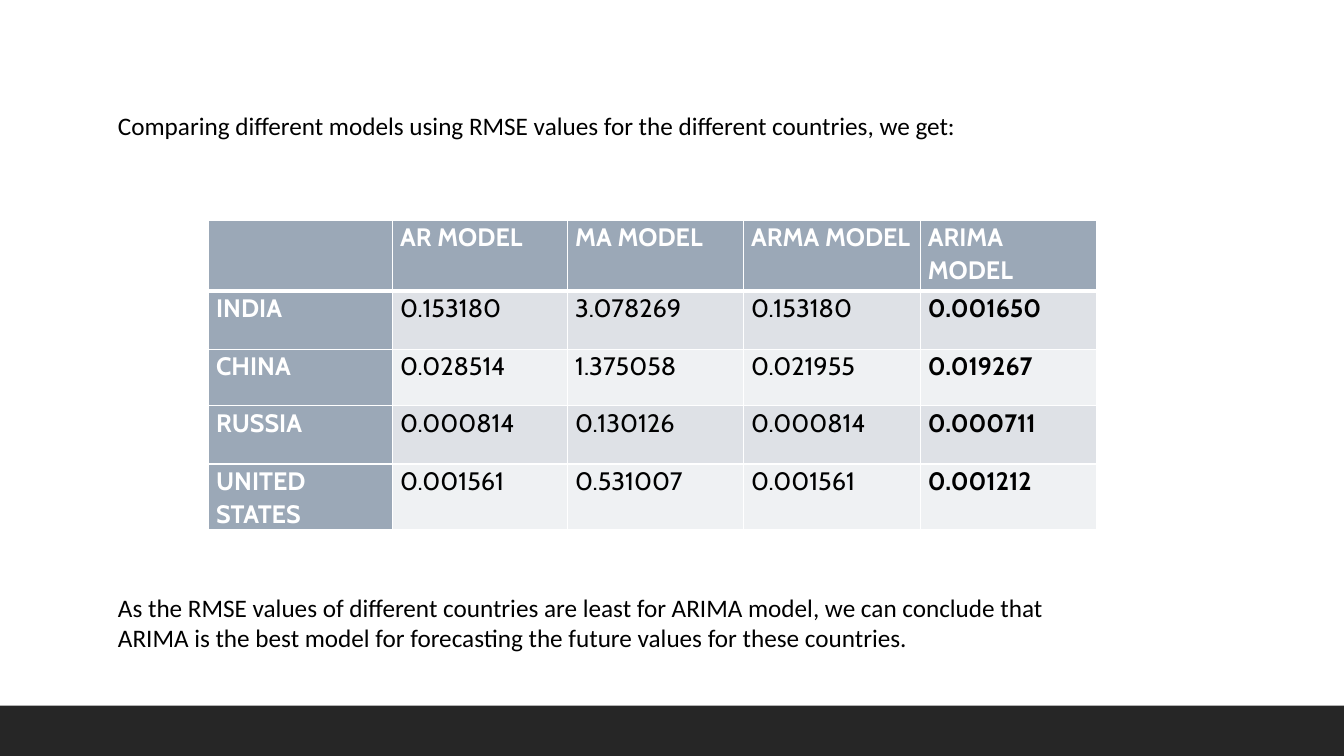
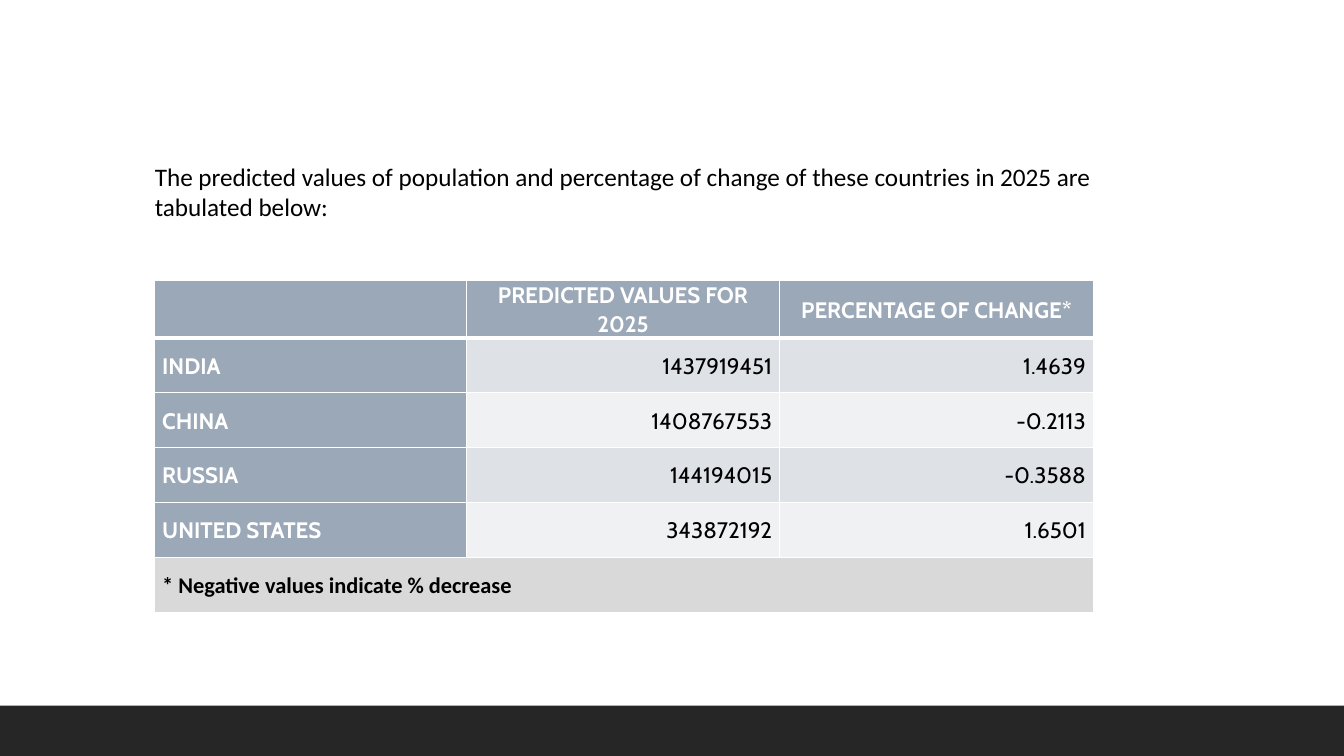
from lxml import etree
from pptx import Presentation
from pptx.dml.color import RGBColor
from pptx.enum import shapes, text
from pptx.oxml import ns
from pptx.util import Pt

WHITE = RGBColor(0xFF, 0xFF, 0xFF)
BLACK = RGBColor(0x00, 0x00, 0x00)
BAND = RGBColor(0x26, 0x26, 0x26)
HEADING = RGBColor(0x9B, 0xA8, 0xB7)
STRIPES = (RGBColor(0xDE, 0xE1, 0xE6), RGBColor(0xEF, 0xF1, 0xF3))
NOTE = RGBColor(0xD9, 0xD9, 0xD9)
BODY_FONT, TABLE_FONT = "Calibri", "Cabin"
WIDTH, HEIGHT, BAND_HEIGHT = 960, 540, 36
LEFT, CENTER, RIGHT = text.PP_ALIGN.LEFT, text.PP_ALIGN.CENTER, text.PP_ALIGN.RIGHT
TOP, MIDDLE = text.MSO_ANCHOR.TOP, text.MSO_ANCHOR.MIDDLE

RMSE = [
    ["", "AR MODEL", "MA MODEL", "ARMA MODEL", "ARIMA MODEL"],
    ["INDIA", "0.153180", "3.078269", "0.153180", "0.001650"],
    ["CHINA", "0.028514", "1.375058", "0.021955", "0.019267"],
    ["RUSSIA", "0.000814", "0.130126", "0.000814", "0.000711"],
    ["UNITED STATES", "0.001561", "0.531007", "0.001561", "0.001212"],
]
FORECAST = [
    ["", "PREDICTED VALUES FOR 2025", "PERCENTAGE OF CHANGE*"],
    ["INDIA", "1437919451", "1.4639"],
    ["CHINA", "1408767553", "-0.2113"],
    ["RUSSIA", "144194015", "-0.3588"],
    ["UNITED STATES", "343872192", "1.6501"],
]


def add_span(para, words, size, color, font=BODY_FONT, bold=False):
    """Add one formatted run to a paragraph."""
    span = para.add_run()
    span.text = words
    span.font.name, span.font.size, span.font.bold = font, Pt(size), bold
    span.font.color.rgb = color


def add_band(page):
    """Draw the dark band along the bottom of a slide."""
    band = page.shapes.add_shape(shapes.MSO_SHAPE.RECTANGLE, Pt(0), Pt(HEIGHT - BAND_HEIGHT),
                                 Pt(WIDTH), Pt(BAND_HEIGHT))
    band.shadow.inherit = False
    band.fill.solid()
    band.fill.fore_color.rgb = BAND
    band.line.fill.background()


def add_statement(page, words, left, top, width, height):
    """Add a wrapped sentence in the given box."""
    box = page.shapes.add_textbox(Pt(left), Pt(top), Pt(width), Pt(height))
    box.text_frame.word_wrap = True
    add_span(box.text_frame.paragraphs[0], words, 18, BLACK)


def set_borders(cell, bottom):
    """Draw white cell borders with the given bottom weight."""
    properties = cell._tc.get_or_add_tcPr()
    for side, weight in zip("LRTB", (1, 1, 1, bottom)):
        line = etree.SubElement(properties, ns.qn(f"a:ln{side}"), w=str(Pt(weight)))
        fill = etree.SubElement(line, ns.qn("a:solidFill"))
        etree.SubElement(fill, ns.qn("a:srgbClr"), val=str(WHITE))


def fill_cell(cell, words, fill, color, size, font, bold, align, anchor):
    """Colour a cell and write its text."""
    cell.fill.solid()
    cell.fill.fore_color.rgb = fill
    cell.margin_left = cell.margin_right = Pt(5.4)
    cell.margin_top = cell.margin_bottom = Pt(0)
    cell.vertical_anchor = anchor
    if words:
        para = cell.text_frame.paragraphs[0]
        para.alignment, para.line_spacing, para.space_after = align, 1.07, Pt(8)
        add_span(para, words, size, color, font, bold)


def add_data_table(page, data, left, top, widths, heights, size, anchor=TOP,
                   head_align=LEFT, value_align=LEFT, bold_last=False, note=None):
    """Add a striped table with a heading row and column and an optional note row."""
    frame = page.shapes.add_table(len(heights), len(widths), Pt(left), Pt(top),
                                  Pt(sum(widths)), Pt(sum(heights)))
    table = frame.table
    for column, width in zip(table.columns, widths):
        column.width = Pt(width)
    for r, height in enumerate(heights):
        table.rows[r].height = Pt(height)
        for c in range(len(widths)):
            set_borders(table.cell(r, c), 3 if r == 0 else 1)
    for r, values in enumerate(data):
        for c, words in enumerate(values):
            heading = r == 0 or c == 0
            fill = HEADING if heading else STRIPES[(r - 1) % 2]
            align = LEFT if c == 0 else head_align if r == 0 else value_align
            bold = heading or (bold_last and c == len(values) - 1)
            fill_cell(table.cell(r, c), words, fill, WHITE if heading else BLACK,
                      size, TABLE_FONT, bold, align, anchor)
    if note:
        last = len(data)
        table.cell(last, 0).merge(table.cell(last, len(widths) - 1))
        fill_cell(table.cell(last, 0), note, NOTE, BLACK, size, BODY_FONT, True, LEFT, anchor)


def build_comparison(page):
    """Fill the slide that compares the models by RMSE."""
    add_data_table(page, RMSE, 149, 157.5, [131.5, 125, 125.7, 126.2, 126.2],
                   [50.4, 41.5, 40.5, 41.5, 41.5], 18, bold_last=True)
    add_statement(page, "Comparing different models using RMSE values for the different "
                  "countries, we get:", 77.2, 75, 736, 51)
    add_statement(page, "As the RMSE values of different countries are least for ARIMA model, "
                  "we can conclude that ARIMA is the best model for forecasting the future "
                  "values for these countries.", 77.2, 419.4, 707, 73)


def build_forecast(page):
    """Fill the slide with the population forecast."""
    add_data_table(page, FORECAST, 110.5, 200.3, [222.5, 224, 224], [39.2] * 6, 16, MIDDLE,
                   CENTER, RIGHT, note="* Negative values indicate % decrease")
    add_statement(page, "The predicted values of population and percentage of change of these "
                  "countries in 2025 are tabulated below:", 103.5, 111.6, 753, 73)


def main():
    """Build and save the deck."""
    deck = Presentation()
    deck.slide_width, deck.slide_height = Pt(WIDTH), Pt(HEIGHT)
    for build in (build_comparison, build_forecast):
        page = deck.slides.add_slide(deck.slide_layouts[6])
        add_band(page)
        build(page)
    deck.save("out.pptx")


if __name__ == "__main__":
    main()
